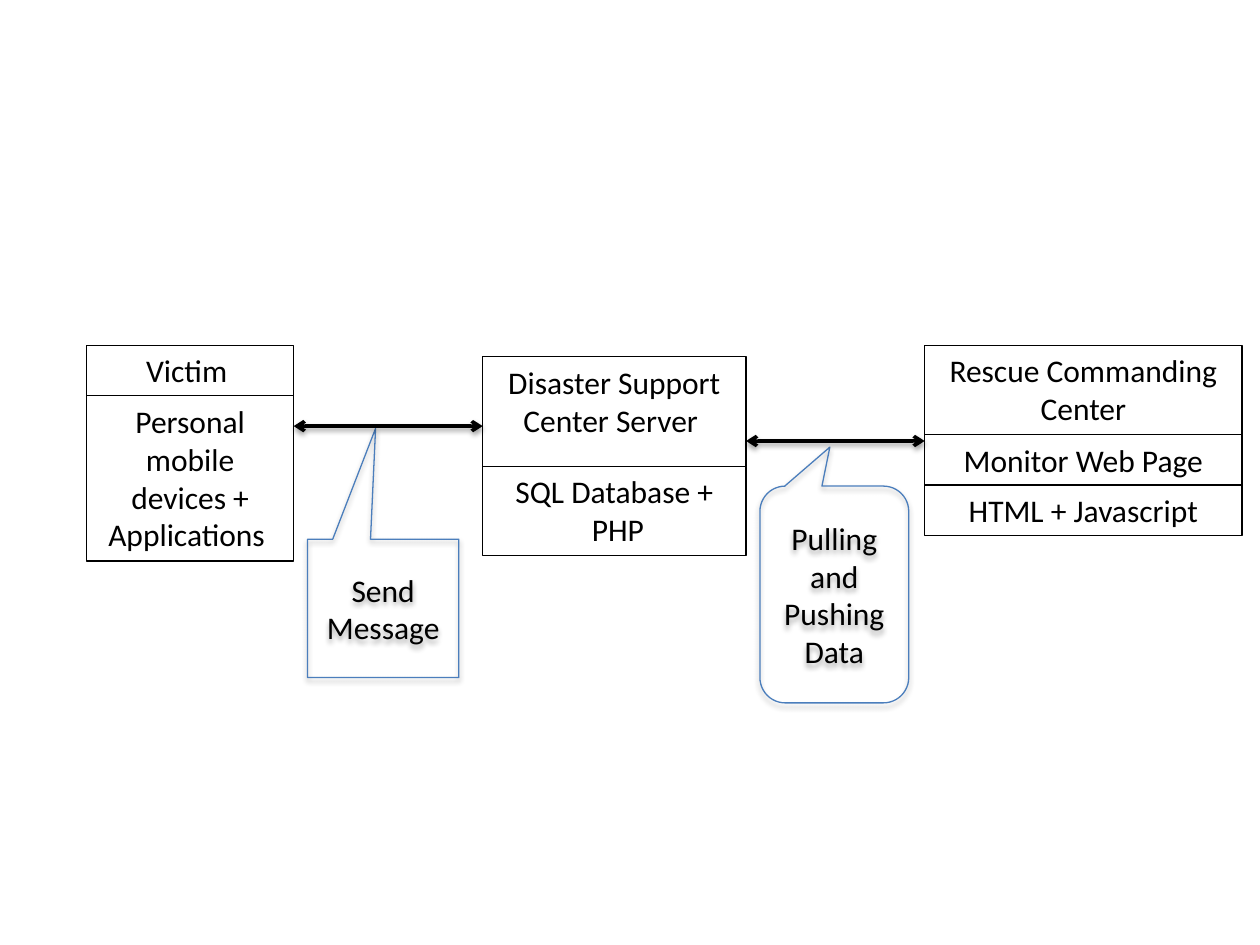
from lxml import etree
from pptx import Presentation
from pptx.dml.color import RGBColor
from pptx.enum.shapes import MSO_CONNECTOR, MSO_SHAPE
from pptx.enum.text import MSO_ANCHOR, MSO_AUTO_SIZE, PP_ALIGN
from pptx.oxml.ns import qn
from pptx.util import Cm, Pt

LINE = MSO_CONNECTOR.STRAIGHT
WEDGE = MSO_SHAPE.RECTANGULAR_CALLOUT
ROUND = MSO_SHAPE.ROUNDED_RECTANGULAR_CALLOUT
MIDDLE = MSO_ANCHOR.MIDDLE
GROW = MSO_AUTO_SIZE.SHAPE_TO_FIT_TEXT
CENTER = PP_ALIGN.CENTER

COLORS = {"ink": "000000", "blue": "4B7EBC"}


class Diagram:
    def __init__(self, slide):
        self.slide = slide
        self.font = "Calibri"
        self.size = Pt(18)

    def color(self, name):
        return RGBColor.from_string(COLORS[name])

    def stroke(self, shape, name, width):
        shape.line.color.rgb = self.color(name)
        shape.line.width = Pt(width)

    def shadow(self, shape, alpha, dist):
        """Add a soft shadow straight below; alpha in percent, dist in points."""
        props = shape._element.spPr
        effects = etree.SubElement(props, qn("a:effectLst"))
        outer = etree.SubElement(
            effects, qn("a:outerShdw"), blurRad=str(Pt(3.1)),
            dist=str(Pt(dist)), dir="5400000", rotWithShape="0")
        tint = etree.SubElement(outer, qn("a:srgbClr"), val=COLORS["ink"])
        etree.SubElement(tint, qn("a:alpha"), val=str(alpha * 1000))

    def label(self, shape, text):
        frame = shape.text_frame
        frame.word_wrap = True
        frame.text = text
        for para in frame.paragraphs:
            para.alignment = CENTER
            para.font.name = self.font
            para.font.size = self.size
            para.font.color.rgb = self.color("ink")

    def stack(self, left, top, width, rows):
        """Group boxes from the top down; rows holds (height, text) pairs."""
        group = self.slide.shapes.add_group_shape()
        for height, text in rows:
            box = group.shapes.add_textbox(
                Cm(left), Cm(top), Cm(width), Cm(height))
            self.stroke(box, "ink", 0.75)
            self.label(box, text)
            box.text_frame.auto_size = GROW
            top += height

    def callout(self, kind, left, top, width, height, adjust, text):
        shape = self.slide.shapes.add_shape(
            kind, Cm(left), Cm(top), Cm(width), Cm(height))
        for index, value in enumerate(adjust):
            shape.adjustments[index] = value
        shape.fill.background()
        self.stroke(shape, "blue", 0.75)
        self.shadow(shape, 35, 1.8)
        self.label(shape, text)
        shape.text_frame.vertical_anchor = MIDDLE

    def link(self, start, end, y):
        line = self.slide.shapes.add_connector(
            LINE, Cm(start), Cm(y), Cm(end), Cm(y))
        self.stroke(line, "ink", 2)
        outline = line._element.spPr.find(qn("a:ln"))
        for tag in ("a:headEnd", "a:tailEnd"):
            etree.SubElement(outline, qn(tag), type="arrow")
        self.shadow(line, 38, 1.6)


def main():
    deck = Presentation()
    deck.slide_width, deck.slide_height = Cm(25.4), Cm(19.05)
    page = Diagram(deck.slides.add_slide(deck.slide_layouts[6]))

    victim, server, rescue = (1.75, 4.17), (9.73, 5.31), (18.64, 6.4)
    one, two = 1.02, 1.8  # heights of one-line and two-line boxes

    page.stack(victim[0], 6.96, victim[1], [
        (one, "Victim "),
        (3.33, "Personal mobile devices + Applications ")])
    page.stack(server[0], 7.19, server[1], [
        (2.21, "Disaster Support Center Server "),
        (two, "SQL Database +\n PHP")])
    page.callout(WEDGE, 6.2, 10.87, 3.05, 2.79, (-0.05, -1.3), "Send Message")
    page.link(sum(victim), server[0], 8.59)
    page.callout(ROUND, 15.32, 9.8, 3, 4.37, (-0.03, -0.68, 0.17),
                 "Pulling and Pushing Data")
    page.stack(rescue[0], 6.96, rescue[1], [
        (two, "Rescue Commanding Center"),
        (one, "Monitor Web Page"),
        (one, "HTML + Javascript")])
    page.link(sum(server), rescue[0], 8.89)

    deck.save("out.pptx")


if __name__ == "__main__":
    main()
